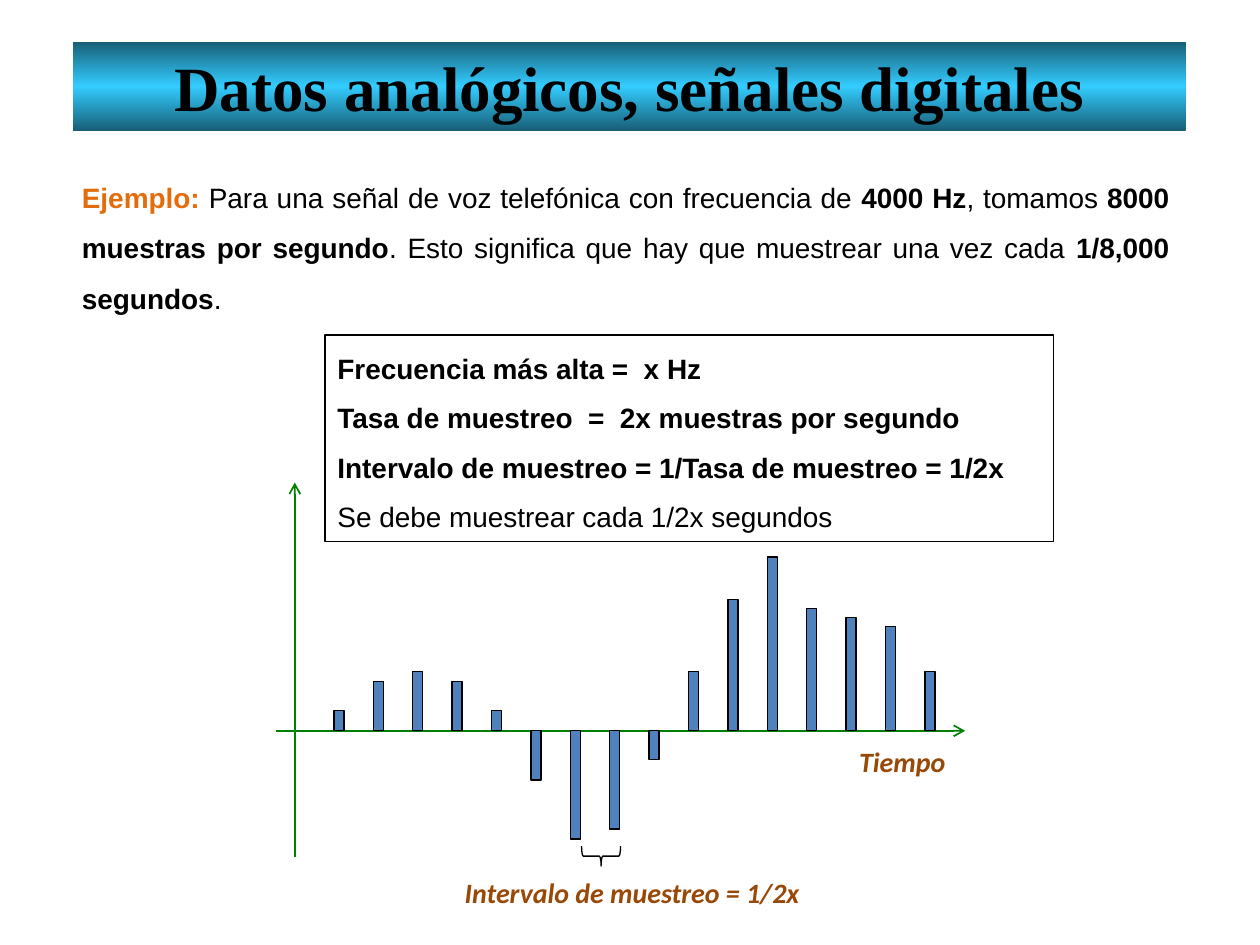
from copy import deepcopy
from typing import NamedTuple

from pptx import Presentation
from pptx.dml.color import RGBColor
from pptx.enum.shapes import MSO_CONNECTOR, MSO_SHAPE
from pptx.enum.text import MSO_ANCHOR, MSO_AUTO_SIZE, PP_ALIGN
from pptx.oxml.ns import qn
from pptx.util import Inches, Pt

RECT, BRACE = MSO_SHAPE.RECTANGLE, MSO_SHAPE.RIGHT_BRACE
STRAIGHT = MSO_CONNECTOR.STRAIGHT
CENTER, JUSTIFY, LEFT = PP_ALIGN.CENTER, PP_ALIGN.JUSTIFY, PP_ALIGN.LEFT
TOP, MIDDLE = MSO_ANCHOR.TOP, MSO_ANCHOR.MIDDLE
NO_AUTOFIT = MSO_AUTO_SIZE.NONE

COLORS = {
    "black": "000000", "white": "FFFFFF", "band_edge": "185E76",
    "band_middle": "33CCFF", "axis": "008000", "bar": "4F81BD",
    "label": "984807", "example": "E46C0A",
}

# Sample grid, in inches: one column per sample, heights measured from the axis
FIRST_BAR, COLUMN, BAR_WIDTH, AXIS_Y = 2.65, 4.69 / 15, 0.08, 5.8
SAMPLES = [0.16, 0.39, 0.47, 0.39, 0.16, -0.39, -0.86, -0.78,
           -0.23, 0.47, 1.04, 1.38, 0.97, 0.9, 0.83, 0.47]


class Box(NamedTuple):
    left: float
    top: float
    width: float
    height: float


class Run(NamedTuple):
    text: str
    bold: bool = False
    color: str = "black"


class Label(NamedTuple):
    text: str
    box: Box


class Axis(NamedTuple):
    x1: float
    y1: float
    x2: float
    y2: float


EXAMPLE = [
    Run("Ejemplo: ", True, "example"),
    Run("Para una señal de voz telefónica con frecuencia de "),
    Run("4000 Hz", True),
    Run(", tomamos "),
    Run("8000 muestras por segundo", True),
    Run(". Esto significa que hay que muestrear una vez cada "),
    Run("1/8,000 segundos", True),
    Run(". "),
]
FORMULAS = [
    Run("Frecuencia más alta =  x Hz", True),
    Run("Tasa de muestreo  =  2x muestras por segundo", True),
    Run("Intervalo de muestreo = 1/Tasa de muestreo = 1/2x", True),
    Run("Se debe muestrear cada 1/2x segundos"),
]
LABELS = [
    Label("Intervalo de muestreo = 1/2x", Box(3.59, 6.9, 2.97, 0.37)),
    Label("Tiempo", Box(6.72, 5.86, 0.94, 0.37)),
]
AXES = [Axis(2.34, 6.8, 2.34, 3.83), Axis(2.19, AXIS_Y, 7.66, AXIS_Y)]


def rgb(name: str) -> RGBColor:
    return RGBColor.from_string(COLORS[name])


def place(sp, box: Box) -> None:
    sp.left, sp.top, sp.width, sp.height = map(Inches, box)


def format_run(r, size: float, font: str, color: str, bold: bool,
               italic: bool = False) -> None:
    r.font.size, r.font.name = Pt(size), font
    r.font.bold, r.font.italic = bold, italic
    r.font.color.rgb = rgb(color)


def add_outlined(slide, kind, box: Box, fill: str | None):
    sp = slide.shapes.add_shape(kind, *map(Inches, box))
    sp.shadow.inherit = False
    if fill:
        sp.fill.solid()
        sp.fill.fore_color.rgb = rgb(fill)
    else:
        sp.fill.background()
    sp.line.color.rgb = rgb("black")
    sp.line.width = Pt(0.75)
    return sp


def fill_band(sp) -> None:
    """Vertical gradient, dark at both edges and light in the middle."""
    sp.fill.gradient()
    sp.fill.gradient_angle = 90
    gs_lst = sp._element.spPr.find(qn("a:gradFill")).find(qn("a:gsLst"))
    gs_lst.insert(1, deepcopy(gs_lst[0]))
    names = ("band_edge", "band_middle", "band_edge")
    for stop, name, position in zip(sp.fill.gradient_stops, names, (0, 0.5, 1)):
        stop.color.rgb = rgb(name)
        stop.position = position


def add_title(slide, text: str) -> None:
    sp = slide.shapes.title
    place(sp, Box(0.58, 0.33, 8.83, 0.71))
    fill_band(sp)
    tf = sp.text_frame
    tf.text = text
    tf.auto_size, tf.vertical_anchor = NO_AUTOFIT, MIDDLE
    p = tf.paragraphs[0]
    p.alignment = CENTER
    format_run(p.runs[0], 36, "Times New Roman", "black", True)


def add_example(slide) -> None:
    sp = slide.placeholders[1]
    place(sp, Box(0.55, 1.25, 8.83, 1.41))
    tf = sp.text_frame
    tf.auto_size, tf.vertical_anchor = NO_AUTOFIT, TOP
    p = tf.paragraphs[0]
    p.alignment, p.line_spacing, p.space_before = JUSTIFY, 1.5, Pt(3.2)
    p_pr = p._p.get_or_add_pPr()
    p_pr.set("marL", "0")
    p_pr.set("indent", "0")
    p_pr.append(p_pr.makeelement(qn("a:buNone"), {}))
    for run in EXAMPLE:
        r = p.add_run()
        r.text = run.text
        format_run(r, 16, "Arial", run.color, run.bold)


def add_formulas(slide) -> None:
    sp = add_outlined(slide, RECT, Box(2.58, 2.66, 5.78, 1.64), None)
    tf = sp.text_frame
    tf.text = "\n".join(run.text for run in FORMULAS)
    tf.word_wrap, tf.vertical_anchor = True, TOP
    for p, run in zip(tf.paragraphs, FORMULAS):
        p.alignment, p.line_spacing, p.space_before = JUSTIFY, Pt(25), Pt(3.2)
        format_run(p.runs[0], 16, "Arial", run.color, run.bold)


def add_axis(slide, axis: Axis) -> None:
    line = slide.shapes.add_connector(STRAIGHT, *map(Inches, axis))
    line.line.color.rgb = rgb("axis")
    line.line.width = Pt(1)
    ln = line.line._get_or_add_ln()
    ln.append(ln.makeelement(qn("a:tailEnd"), {"type": "arrow"}))
    sp_pr = line._element.spPr
    sp_pr.append(sp_pr.makeelement(qn("a:effectLst"), {}))


def add_label(slide, label: Label) -> None:
    tf = slide.shapes.add_textbox(*map(Inches, label.box)).text_frame
    tf.text = label.text
    tf.word_wrap = True
    p = tf.paragraphs[0]
    p.alignment = LEFT
    format_run(p.runs[0], 16, "Calibri", "label", True, True)


def main() -> None:
    prs = Presentation()
    prs.slide_width, prs.slide_height = Inches(10), Inches(7.5)
    slide = prs.slides.add_slide(prs.slide_layouts[1])
    add_title(slide, "Datos analógicos, señales digitales")
    add_example(slide)
    for axis in AXES:
        add_axis(slide, axis)
    for i, height in enumerate(SAMPLES):
        box = Box(FIRST_BAR + i * COLUMN, AXIS_Y - max(height, 0),
                  BAR_WIDTH, abs(height))
        add_outlined(slide, RECT, box, "bar")
    brace = add_outlined(slide, BRACE, Box(4.69, 6.64, 0.16, 0.31), "white")
    brace.rotation = 90
    for label in LABELS:
        add_label(slide, label)
    add_formulas(slide)
    prs.save("out.pptx")


if __name__ == "__main__":
    main()
